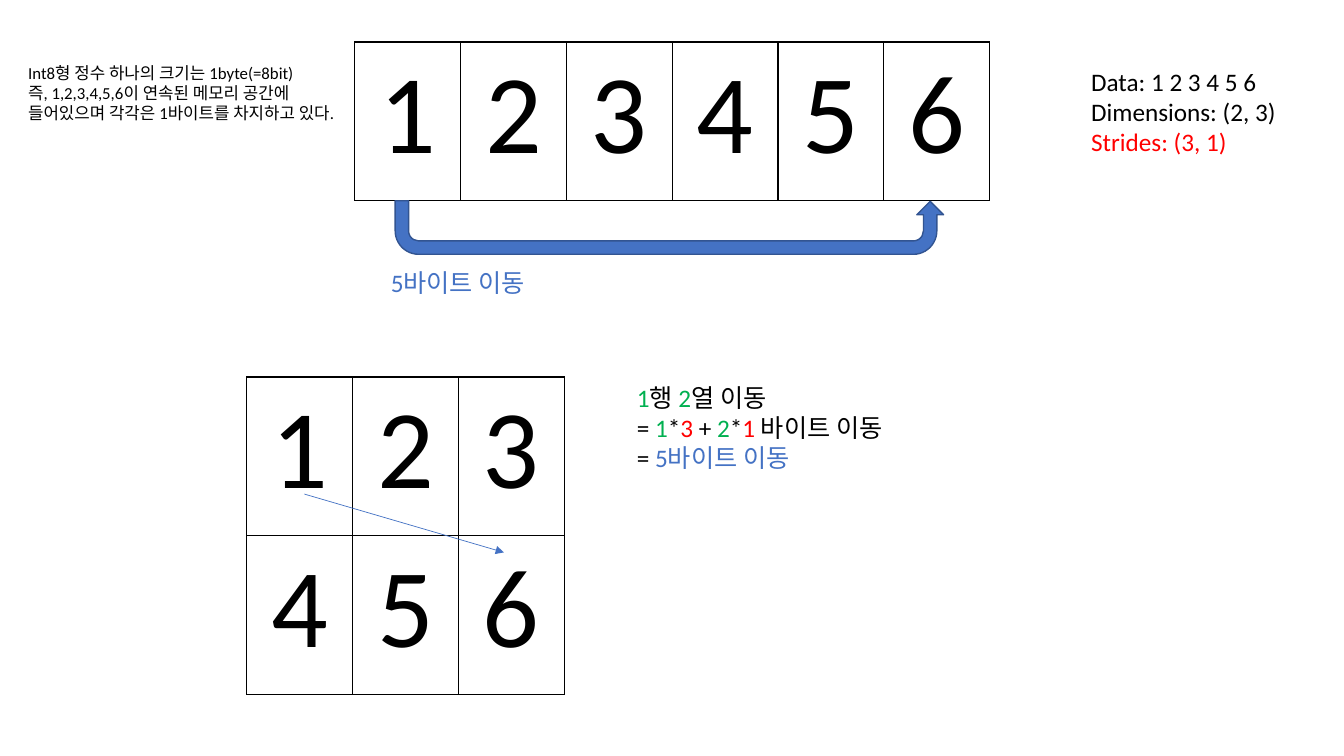
import pptx
import pptx.util
import pptx.dml.color
import pptx.enum.shapes
import pptx.enum.text
import pptx.oxml.ns
import lxml.etree
from pptx.util import Cm

COLORS = {"black": "000000", "red": "FF0000", "green": "00B050",
          "blue": "4472C4", "dark_blue": "325491"}
FONT = "Calibri"
CELL_WIDTH, CELL_HEIGHT = 16 / 6, 4


def color(name):
    return pptx.dml.color.RGBColor.from_string(COLORS[name])


def add_element(parent, tag, **attributes):
    return lxml.etree.SubElement(parent, pptx.oxml.ns.qn(tag), attributes)


def format_span(span, size, color_name):
    span.font.name = FONT
    span.font.size = pptx.util.Pt(size)
    span.font.color.rgb = color(color_name)


def border_cell(cell):
    properties = cell._tc.get_or_add_tcPr()
    for side in ("a:lnL", "a:lnR", "a:lnT", "a:lnB"):
        line = add_element(properties, side, w=str(pptx.util.Pt(1)))
        fill = add_element(line, "a:solidFill")
        add_element(fill, "a:srgbClr", val=COLORS["black"])


def add_number_grid(page, left, top, rows):
    """Bordered grid of large numbers with equal cells."""
    columns = len(rows[0])
    grid = page.shapes.add_table(
        len(rows), columns, Cm(left), Cm(top),
        Cm(CELL_WIDTH * columns), Cm(CELL_HEIGHT * len(rows))).table
    grid.first_row = grid.horz_banding = False
    for column in grid.columns:
        column.width = Cm(CELL_WIDTH)
    for row_index, numbers in enumerate(rows):
        grid.rows[row_index].height = Cm(CELL_HEIGHT)
        for column_index, number in enumerate(numbers):
            cell = grid.cell(row_index, column_index)
            border_cell(cell)
            cell.fill.background()
            para = cell.text_frame.paragraphs[0]
            para.text = str(number)
            para.alignment = pptx.enum.text.PP_ALIGN.CENTER
            format_span(para.runs[0], 80, "black")


def add_note(page, left, top, width, height, lines, size=18, wrap=True):
    """Text box; each line is a list of (text, colour) spans."""
    box = page.shapes.add_textbox(Cm(left), Cm(top), Cm(width), Cm(height))
    frame = box.text_frame
    frame.word_wrap = wrap
    frame.auto_size = pptx.enum.text.MSO_AUTO_SIZE.SHAPE_TO_FIT_TEXT
    for index, line in enumerate(lines):
        para = frame.add_paragraph() if index else frame.paragraphs[0]
        for text, color_name in line:
            span = para.add_run()
            span.text = text
            format_span(span, size, color_name)


def add_jump_arrow(page, left, top, width, height):
    """U-turn arrow below the memory row, opening upwards."""
    arrow = page.shapes.add_shape(
        pptx.enum.shapes.MSO_SHAPE.U_TURN_ARROW,
        Cm(left), Cm(top), Cm(width), Cm(height))
    for index, value in enumerate((0.25, 0.25, 0.25, 0.438, 0.989)):
        arrow.adjustments[index] = value
    arrow._element.spPr.find(pptx.oxml.ns.qn("a:xfrm")).set("flipV", "1")
    arrow.shadow.inherit = False
    arrow.fill.solid()
    arrow.fill.fore_color.rgb = color("blue")
    arrow.line.color.rgb = color("dark_blue")
    arrow.line.width = pptx.util.Pt(1)


def add_step_arrow(page, start_x, start_y, end_x, end_y):
    """Thin arrow between two cells of the matrix."""
    arrow = page.shapes.add_connector(
        pptx.enum.shapes.MSO_CONNECTOR.STRAIGHT,
        Cm(start_x), Cm(start_y), Cm(end_x), Cm(end_y))
    arrow.line.color.rgb = color("blue")
    arrow.line.width = pptx.util.Pt(0.5)
    add_element(arrow.line._get_or_add_ln(), "a:tailEnd", type="triangle")
    add_element(arrow._element.spPr, "a:effectLst")


def add_memory_region(page, left, top):
    """Numbers in one contiguous row, with the five-byte jump."""
    add_number_grid(page, left, top, [range(1, 7)])
    bottom = top + CELL_HEIGHT
    add_jump_arrow(page, left + 1.02, bottom, 13.82, 1.35)
    add_note(page, left + 0.66, bottom + 1.56, 7.06, 1.02,
             [[("5바이트 이동", "blue")]])
    add_note(page, left - 8.48, top + 0.4, 8.46, 2.31, [
        [("Int8형 정수 하나의 크기는 1byte(=8bit)", "black")],
        [("즉, 1,2,3,4,5,6이 연속된 메모리 공간에 "
          "들어있으며 각각은 1바이트를 차지하고 있다.", "black")]], size=12)
    add_note(page, left + 18.31, top + 0.48, 5.21, 2.57, [
        [("Data: 1 2 3 4 5 6", "black")],
        [("Dimensions: (2, 3)", "black")],
        [("Strides: (3, 1)", "red")]], wrap=False)


def add_matrix_region(page, left, top):
    """The same numbers as a matrix, with the stride calculation."""
    add_number_grid(page, left, top, [range(1, 4), range(4, 7)])
    add_step_arrow(page, left + 1.45, top + 2.95, left + 6.48, top + 4.42)
    add_note(page, left + 9.58, top, 7.04, 2.57, [
        [("1", "green"), ("행 ", "black"),
         ("2", "green"), ("열 이동", "black")],
        [("= ", "black"), ("1", "green"), ("*", "black"), ("3 ", "red"),
         ("+ ", "black"), ("2", "green"), ("*", "black"), ("1", "red"),
         (" 바이트 이동", "black")],
        [("= ", "black"), ("5바이트 이동", "blue")]], wrap=False)


deck = pptx.Presentation()
deck.slide_width, deck.slide_height = Cm(33.87), Cm(19.05)
page = deck.slides.add_slide(deck.slide_layouts[6])
add_memory_region(page, 8.94, 1.06)
add_matrix_region(page, 6.22, 9.5)
deck.save("out.pptx")
